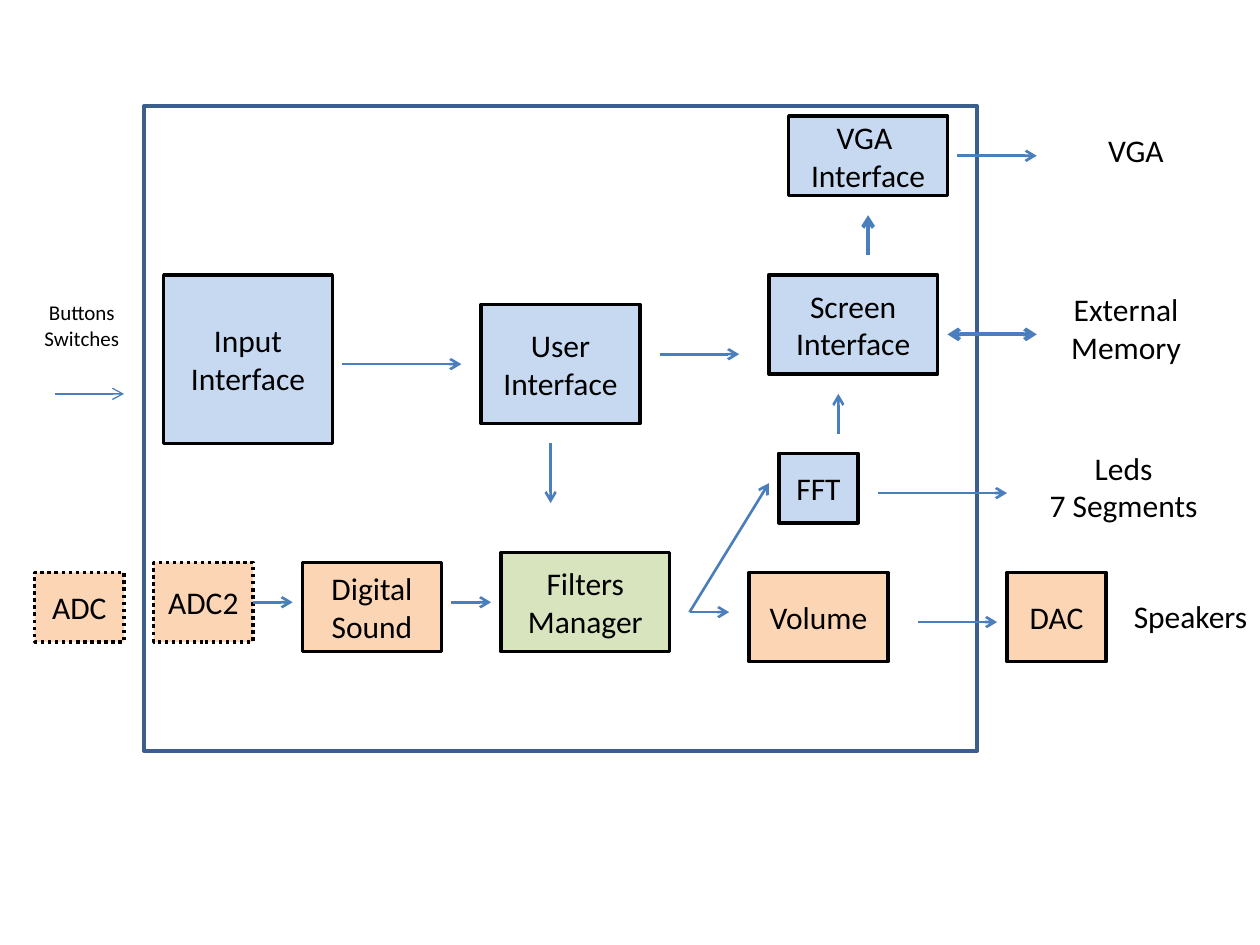
from dataclasses import dataclass

from lxml import etree
from pptx import Presentation
from pptx import util as u
from pptx.dml.color import RGBColor
from pptx.enum import dml, shapes, text
from pptx.oxml import ns

COLORS = {
    "frame": "3A5F8C",
    "arrow": "4B7EBC",
    "ink": "000000",
    "interface": "C6D9F1",
    "audio": "FCD5B5",
    "filter": "D7E4BD",
}
CELL = 10 / 127
LEFT_MARGIN, TOP_MARGIN = 0.5, 0.7


@dataclass(frozen=True)
class Block:
    wording: str
    col: float
    row: float
    cols: float
    rows: float
    fill: str | None = None
    line: str | None = "ink"
    dotted: bool = False
    size: int = 18


@dataclass(frozen=True)
class Arrow:
    start: tuple[float, float]
    end: tuple[float, float]
    width: float = 1.5
    double: bool = False
    source: str | None = None


FRAME = Block("", 14, 10, 84, 65, line="frame")
BLOCKS = [
    Block("Input Interface", 16, 27, 17, 17, "interface"),
    Block("ADC2", 15, 56, 10, 8, "audio", dotted=True),
    Block("ADC", 3, 57, 9, 7, "audio", dotted=True),
    Block("Digital Sound", 30, 56, 14, 9, "audio"),
    Block("Filters\nManager", 50, 55, 17, 10, "filter"),
    Block("Volume", 75, 57, 14, 9, "audio"),
    Block("DAC", 101, 57, 10, 9, "audio"),
    Block("User Interface", 48, 30, 16, 12, "interface"),
    Block("Screen\nInterface", 77, 27, 17, 10, "interface"),
    Block("FFT", 78, 45, 8, 7, "interface"),
    Block("VGA \nInterface", 79, 11, 16, 8, "interface"),
]
LABELS = [
    Block("Leds\n7 Segments", 103, 43.9, 19.5, 9),
    Block("VGA", 107, 11.9, 14, 5),
    Block("Speakers", 112.5, 58.9, 14, 5),
    Block("Buttons\nSwitches", -2, 28.9, 19.5, 6.4, size=12),
    Block("External Memory", 106, 27.9, 14, 9),
]
ARROWS = [
    Arrow((25, 60), (29, 60), source="ADC2"),
    Arrow((45, 60), (49, 60)),
    Arrow((69, 61), (73, 61)),
    Arrow((92, 62), (100, 62)),
    Arrow((55, 44), (55, 50)),
    Arrow((66, 35), (74, 35)),
    Arrow((69, 61), (77, 48)),
    Arrow((88, 49), (101, 49)),
    Arrow((84, 43), (84, 39)),
    Arrow((87, 25), (87, 21), width=2.25),
    Arrow((96, 15), (104, 15)),
    Arrow((34, 36), (46, 36)),
    Arrow((5, 39), (12, 39), width=0.75),
    Arrow((95, 33), (104, 33), width=2.25, double=True),
]


def color(name: str) -> RGBColor:
    return RGBColor.from_string(COLORS[name])


def point(col: float, row: float) -> tuple[int, int]:
    return u.Inches((col + LEFT_MARGIN) * CELL), u.Inches((row + TOP_MARGIN) * CELL)


def bounds(block: Block) -> tuple[int, int, int, int]:
    size = u.Inches(block.cols * CELL), u.Inches(block.rows * CELL)
    return (*point(block.col, block.row), *size)


def apply(target, values: dict) -> None:
    for name, value in values.items():
        setattr(target, name, value)


def write(box, block: Block, anchor) -> None:
    frame = box.text_frame
    apply(frame, {"word_wrap": True, "vertical_anchor": anchor})
    for index, wording in enumerate(block.wording.split("\n")):
        para = frame.add_paragraph() if index else frame.paragraphs[0]
        para.alignment = text.PP_ALIGN.CENTER
        span = para.add_run()
        span.text = wording
        apply(span.font, {"name": "Calibri", "size": u.Pt(block.size)})
        span.font.color.rgb = color("ink")


def draw_block(page, block: Block):
    box = page.shapes.add_shape(shapes.MSO_SHAPE.RECTANGLE, *bounds(block))
    box.shadow.inherit = False
    if block.fill:
        box.fill.solid()
        box.fill.fore_color.rgb = color(block.fill)
    else:
        box.fill.background()
    box.line.color.rgb = color(block.line)
    box.line.width = u.Pt(2)
    if block.dotted:
        box.line.dash_style = dml.MSO_LINE.ROUND_DOT
    if block.wording:
        write(box, block, text.MSO_ANCHOR.MIDDLE)
    return box


def draw_label(page, block: Block) -> None:
    box = page.shapes.add_textbox(*bounds(block))
    write(box, block, text.MSO_ANCHOR.TOP)
    box.text_frame.auto_size = text.MSO_AUTO_SIZE.SHAPE_TO_FIT_TEXT


def draw_arrow(page, arrow: Arrow, boxes: dict) -> None:
    line = page.shapes.add_connector(
        shapes.MSO_CONNECTOR.STRAIGHT, *point(*arrow.start), *point(*arrow.end)
    )
    if arrow.source:
        line.begin_connect(boxes[arrow.source], 3)
    line.line.color.rgb = color("arrow")
    line.line.width = u.Pt(arrow.width)
    outline = line.line._get_or_add_ln()
    for end in ("a:headEnd", "a:tailEnd") if arrow.double else ("a:tailEnd",):
        etree.SubElement(outline, ns.qn(end), type="arrow")
    etree.SubElement(line._element.spPr, ns.qn("a:effectLst"))


def main() -> None:
    deck = Presentation()
    apply(deck, {"slide_width": u.Inches(10), "slide_height": u.Inches(7.5)})
    page = deck.slides.add_slide(deck.slide_layouts[6])
    draw_block(page, FRAME)
    boxes = {block.wording: draw_block(page, block) for block in BLOCKS}
    for arrow in ARROWS:
        draw_arrow(page, arrow, boxes)
    for label in LABELS:
        draw_label(page, label)
    deck.save("out.pptx")


if __name__ == "__main__":
    main()
